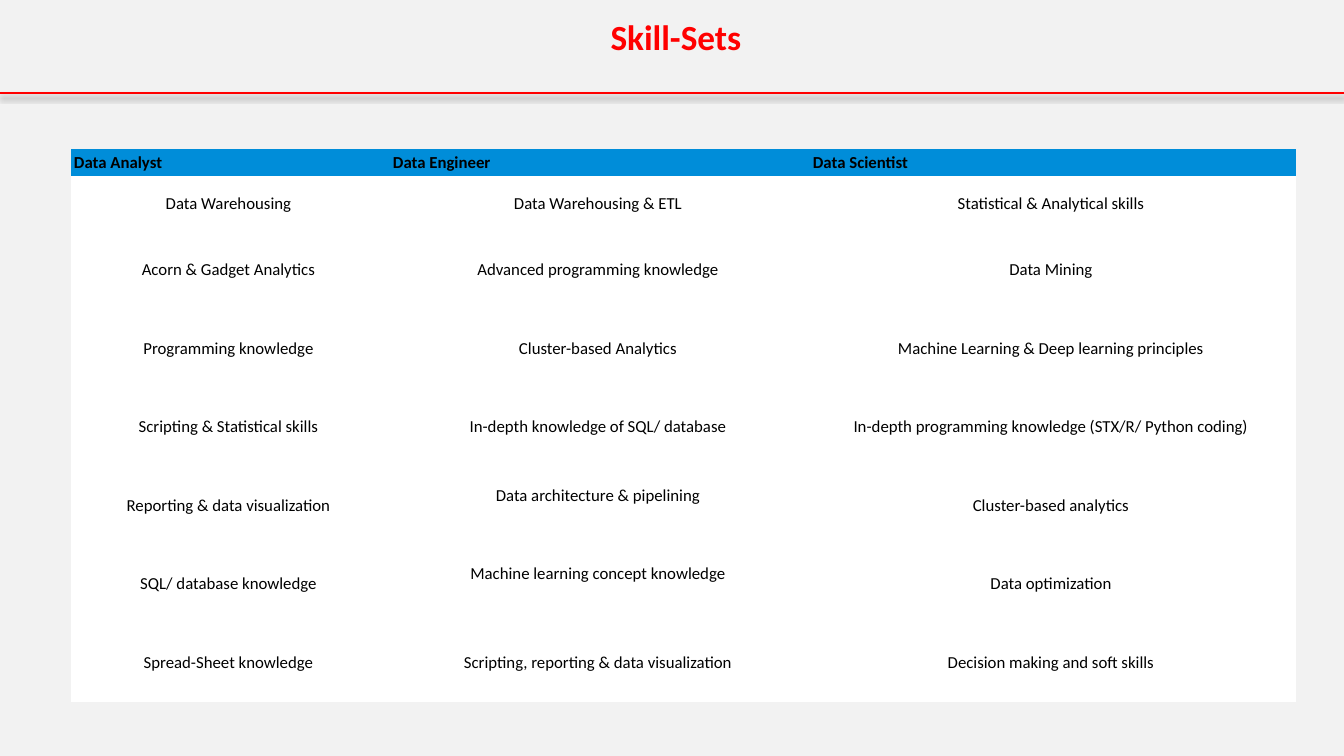
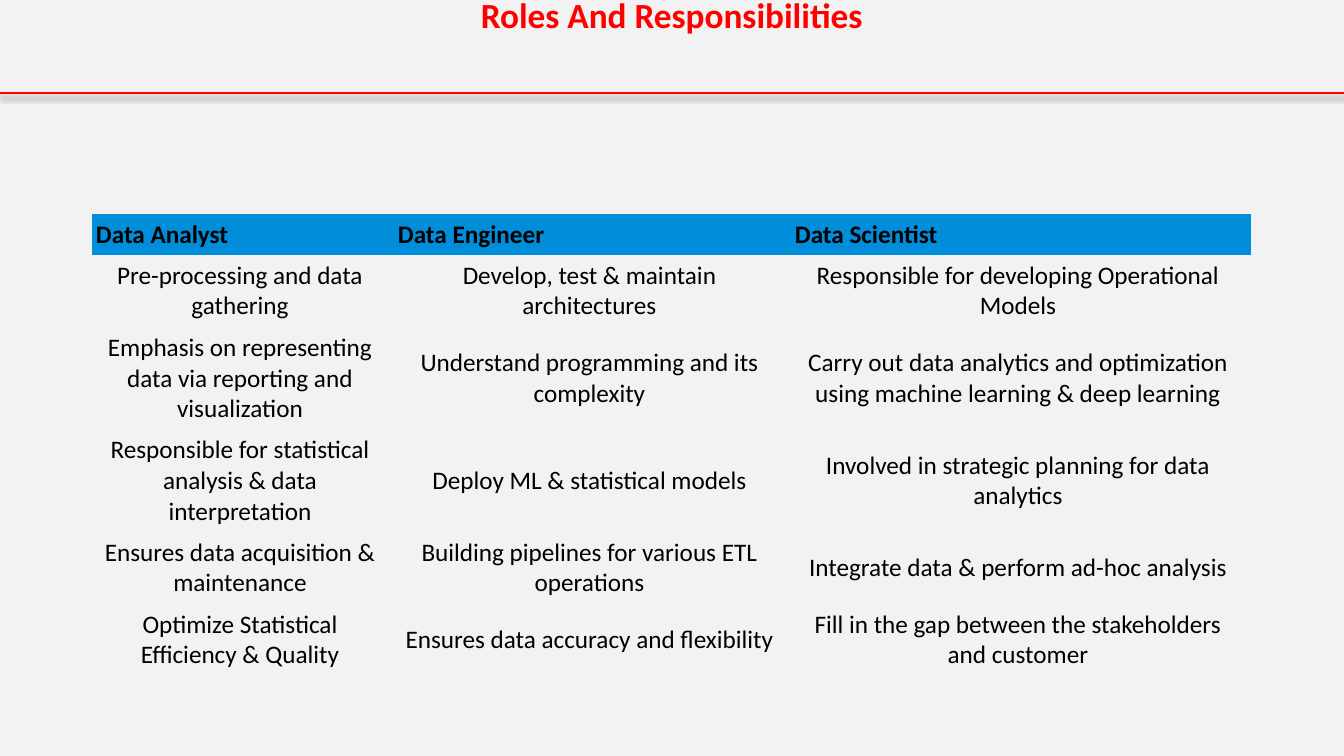
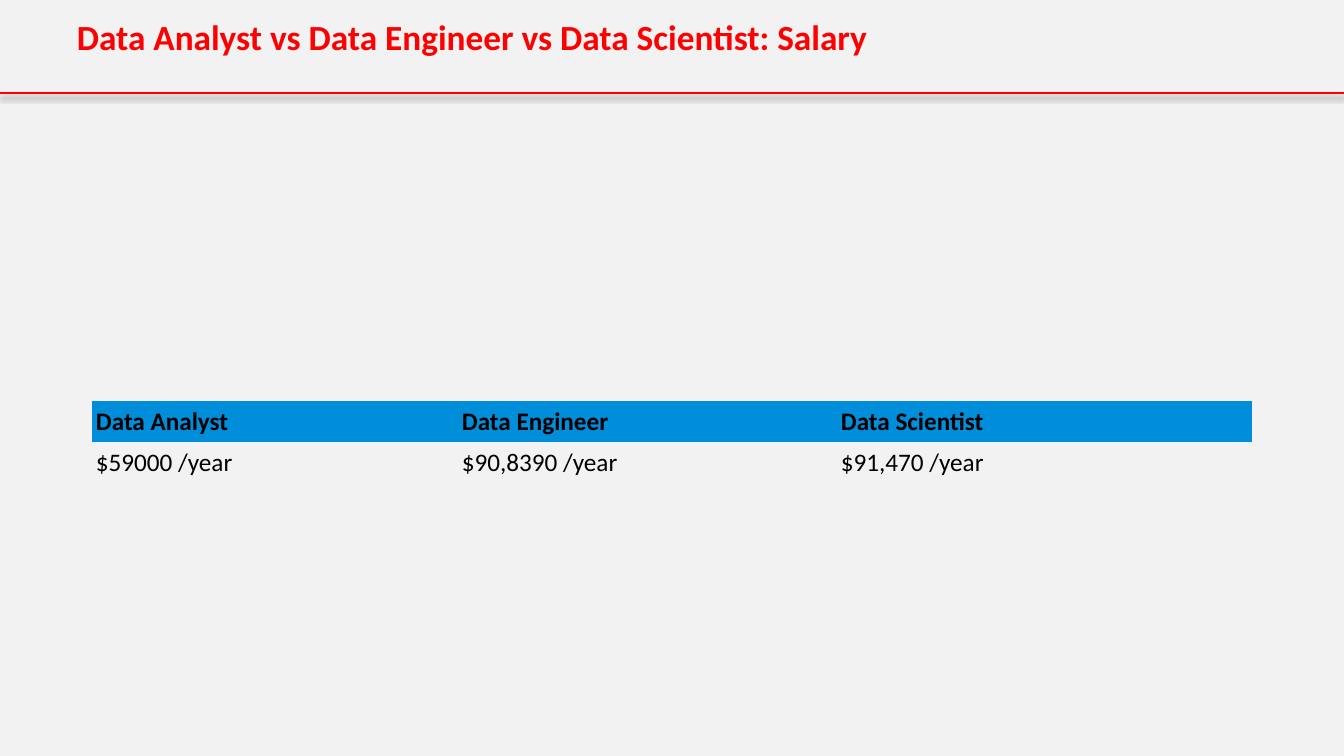
from dataclasses import dataclass

from lxml import etree
from pptx import Presentation
from pptx.dml.color import RGBColor
from pptx.enum import shapes, text
from pptx.oxml.ns import qn
from pptx.util import Pt

PX = 12192000 / 1344
PAGE_WIDTH, PAGE_HEIGHT = 1344, 756
RULE_TOP = 93
TITLE_WIDTH, TITLE_HEIGHT = 1210, 40
NO_GRID_STYLE = "{2D5ABB26-0587-4C30-8999-92F81FD0307C}"
LEFT, CENTER = text.PP_ALIGN.LEFT, text.PP_ALIGN.CENTER


@dataclass(frozen=True)
class Theme:
    font: str = "Calibri"
    background: str = "F2F2F2"
    accent: str = "FF0000"
    header: str = "008DD9"
    ink: str = "000000"
    panel: str = "FFFFFF"
    title_size: float = 25.2
    table_size: int = 18
    dense_size: int = 12


THEME = Theme()
ROLES = ("Data Analyst", "Data Engineer", "Data Scientist")
# Cell margins in px: left, top, right, bottom
NORMAL_MARGINS = (4, 5, 10, 5)
DENSE_MARGINS = (3, 3, 7, 3)

SLIDES = [
    dict(
        title="Skill-Sets", title_at=(71, 16), title_align=CENTER,
        table_at=(71, 149), columns=(319, 420, 486),
        heights=(27, 55) + (78, 79) * 3,
        size=THEME.dense_size, margins=DENSE_MARGINS, fill=THEME.panel, align=CENTER,
        raised={(5, 1): 20, (6, 1): 20},
        rows=[
            ("Data Warehousing", "Data Warehousing & ETL", "Statistical & Analytical skills"),
            ("Acorn & Gadget Analytics", "Advanced programming knowledge", "Data Mining"),
            ("Programming knowledge", "Cluster-based Analytics",
             "Machine Learning & Deep learning principles"),
            ("Scripting & Statistical skills", "In-depth knowledge of SQL/ database",
             "In-depth programming knowledge (STX/R/ Python coding)"),
            ("Reporting & data visualization", "Data architecture & pipelining",
             "Cluster-based analytics"),
            ("SQL/ database knowledge", "Machine learning concept knowledge",
             "Data optimization"),
            ("Spread-Sheet knowledge", "Scripting, reporting & data visualization",
             "Decision making and soft skills"),
        ],
    ),
    dict(
        title="Roles And Responsibilities", title_at=(67, -6), title_align=CENTER,
        table_at=(92, 214), columns=(302, 397, 460), heights=(41, 72, 103, 102, 72, 72),
        size=THEME.table_size, margins=NORMAL_MARGINS, fill=None, align=CENTER, raised={},
        rows=[
            ("Pre-processing and data gathering", "Develop, test & maintain architectures",
             "Responsible for developing Operational Models"),
            ("Emphasis on representing data via reporting and visualization",
             "Understand programming and its complexity",
             "Carry out data analytics and optimization using machine learning & deep learning"),
            ("Responsible for statistical analysis & data interpretation",
             "Deploy ML & statistical models",
             "Involved in strategic planning for data analytics"),
            ("Ensures data acquisition & maintenance",
             "Building pipelines for various ETL operations",
             "Integrate data & perform ad-hoc analysis"),
            ("Optimize Statistical Efficiency & Quality",
             "Ensures data accuracy and flexibility",
             "Fill in the gap between the stakeholders and customer"),
        ],
    ),
    dict(
        title="Data Analyst vs Data Engineer vs Data Scientist: Salary",
        title_at=(67, 16), title_align=LEFT,
        table_at=(92, 401), columns=(366, 379, 415), heights=(41, 41),
        size=THEME.table_size, margins=NORMAL_MARGINS, fill=None, align=LEFT, raised={},
        rows=[("$59000 /year", "$90,8390 /year", "$91,470 /year")],
    ),
]


def emu(pixels):
    return round(pixels * PX)


def rgb(color):
    return RGBColor.from_string(color)


def write(frame, words, size, color, bold, align):
    para = frame.paragraphs[0]
    para.alignment = align
    span = para.add_run()
    span.text = words
    span.font.name = THEME.font
    span.font.size = Pt(size)
    span.font.bold = bold
    span.font.color.rgb = rgb(color)


def add_rule(page):
    """Draw the red line under the title, with its soft shadow."""
    rule = page.shapes.add_connector(
        shapes.MSO_CONNECTOR.STRAIGHT, 0, emu(RULE_TOP), emu(PAGE_WIDTH), emu(RULE_TOP))
    rule.line.color.rgb = rgb(THEME.accent)
    rule.line.width = Pt(1)
    effects = etree.SubElement(rule.element.spPr, qn("a:effectLst"))
    shadow = etree.SubElement(
        effects, qn("a:outerShdw"), blurRad=str(Pt(4)), dist=str(Pt(3)),
        dir="5400000", rotWithShape="0")
    color = etree.SubElement(shadow, qn("a:srgbClr"), val=THEME.ink)
    etree.SubElement(color, qn("a:alpha"), val="40000")


def add_title(page, words, at, align):
    box = page.shapes.add_textbox(*map(emu, (*at, TITLE_WIDTH, TITLE_HEIGHT)))
    frame = box.text_frame
    frame.word_wrap = True
    frame.vertical_anchor = text.MSO_ANCHOR.MIDDLE
    write(frame, words, THEME.title_size, THEME.accent, True, align)


def add_role_table(page, content):
    rows = [ROLES, *content["rows"]]
    columns, heights = content["columns"], content["heights"]
    frame = page.shapes.add_table(
        len(rows), len(columns),
        *map(emu, (*content["table_at"], sum(columns), sum(heights))))
    next(frame.element.iter(qn("a:tableStyleId"))).text = NO_GRID_STYLE
    table = frame.table
    table.horz_banding = False
    for column, width in zip(table.columns, columns):
        column.width = emu(width)
    for row, height in zip(table.rows, heights):
        row.height = emu(height)

    left, top, right, bottom = content["margins"]
    for r, row in enumerate(rows):
        is_header = r == 0
        fill = THEME.header if is_header else content["fill"]
        for c, words in enumerate(row):
            cell = table.cell(r, c)
            cell.margin_left, cell.margin_top = emu(left), emu(top)
            cell.margin_right = emu(right)
            cell.margin_bottom = emu(bottom + content["raised"].get((r, c), 0))
            cell.vertical_anchor = text.MSO_ANCHOR.MIDDLE
            if fill:
                cell.fill.solid()
                cell.fill.fore_color.rgb = rgb(fill)
            else:
                cell.fill.background()
            write(cell.text_frame, words, content["size"], THEME.ink, is_header,
                  LEFT if is_header else content["align"])


def main():
    deck = Presentation()
    deck.slide_width, deck.slide_height = emu(PAGE_WIDTH), emu(PAGE_HEIGHT)
    background = deck.slide_master.background.fill
    background.solid()
    background.fore_color.rgb = rgb(THEME.background)
    for content in SLIDES:
        page = deck.slides.add_slide(deck.slide_layouts[6])
        add_rule(page)
        add_title(page, content["title"], content["title_at"], content["title_align"])
        add_role_table(page, content)
    deck.save("out.pptx")


if __name__ == "__main__":
    main()
